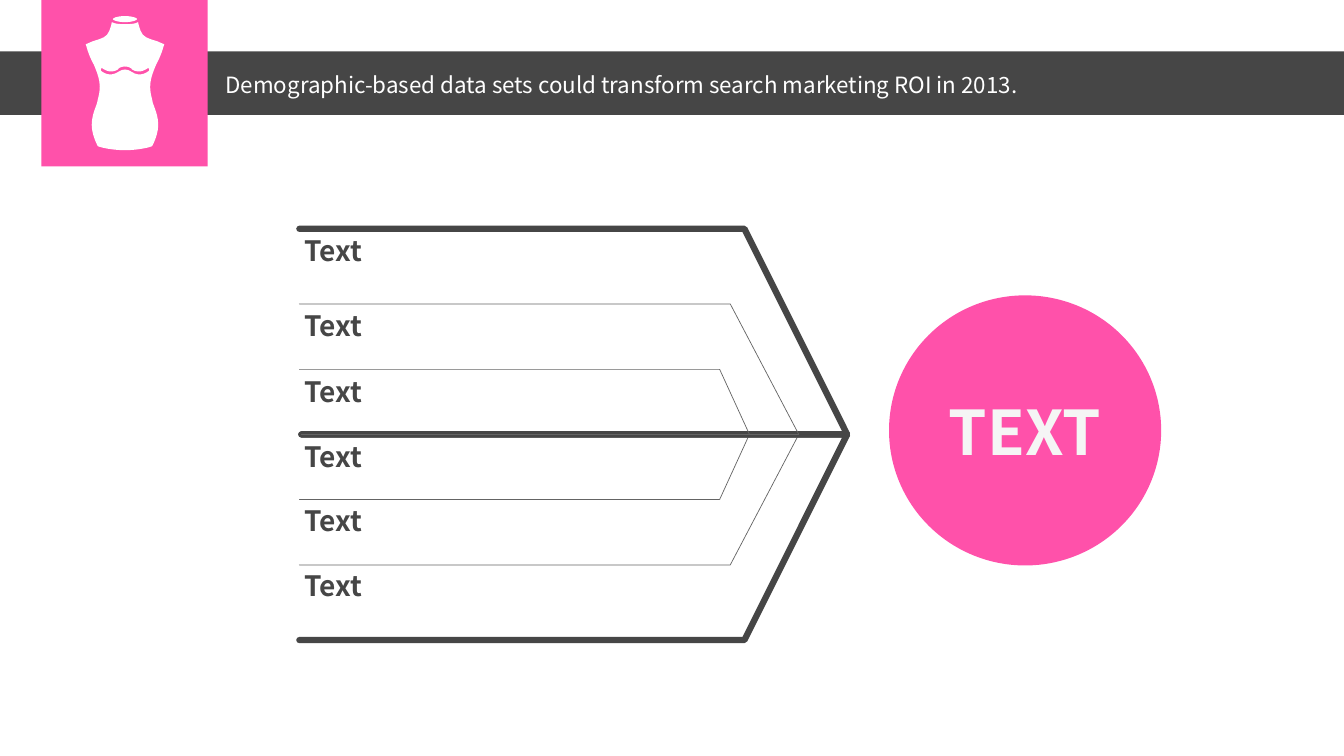
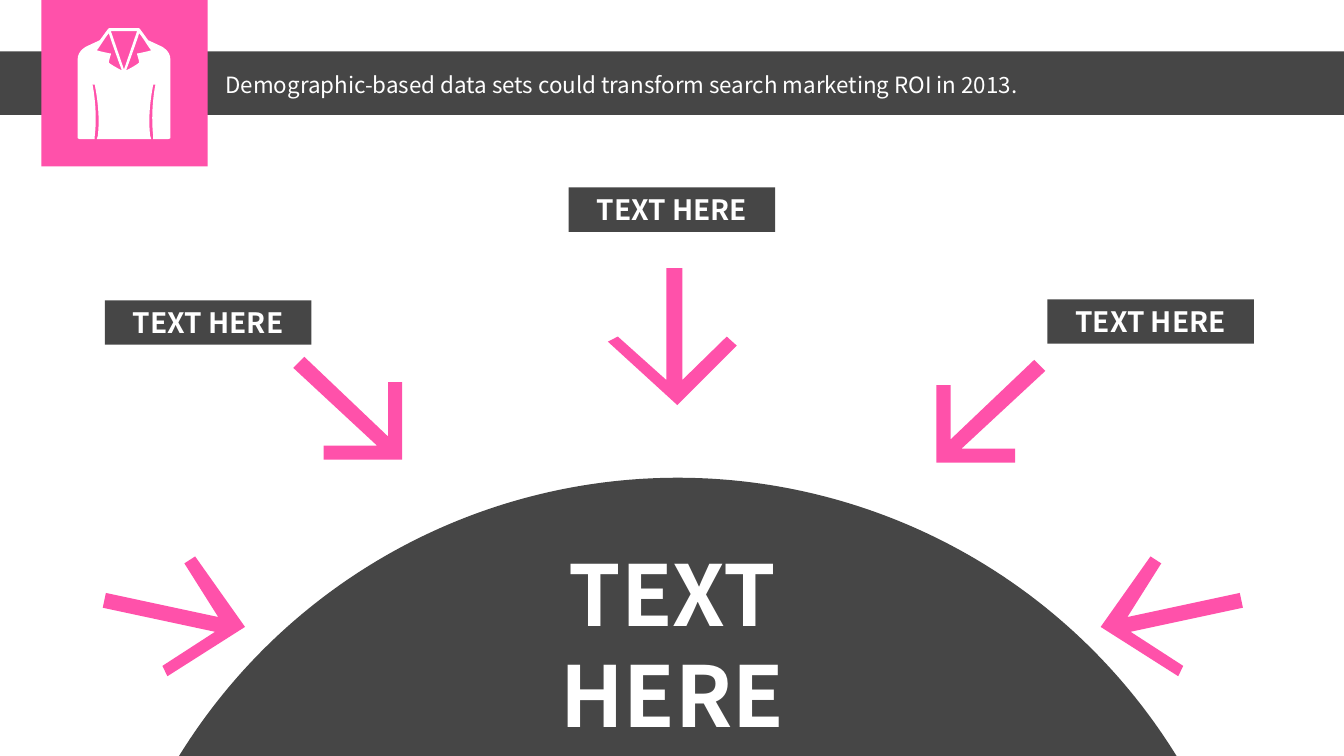
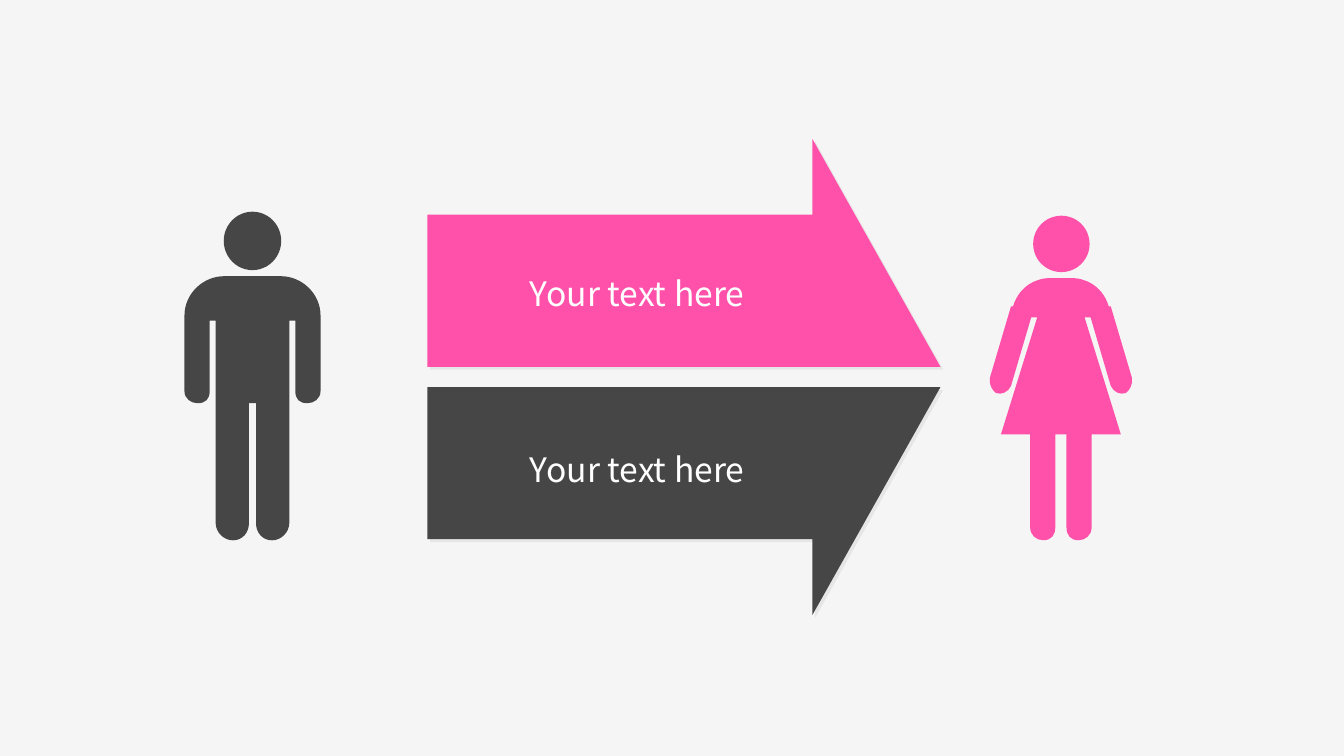
from dataclasses import dataclass

from lxml.etree import SubElement
from pptx import Presentation
from pptx.dml.color import RGBColor
from pptx.enum.shapes import MSO_SHAPE as Preset
from pptx.enum.text import MSO_ANCHOR as Anchor, MSO_AUTO_SIZE as AutoSize, PP_ALIGN as Align
from pptx.oxml.ns import qn
from pptx.util import Inches, Pt


@dataclass(frozen=True)
class Theme:
    font: str = "Noto Sans CJK SC"
    pink: str = "FF51AA"
    dark: str = "464646"
    thin: str = "646464"
    white: str = "FFFFFF"
    pale: str = "F5F5F5"
    shade: str = "E7E6E6"
    title: int = 16
    label: int = 20
    caption: int = 24
    badge: int = 44
    hero: int = 60


THEME = Theme()
COLUMNS, ROWS = 1333.33, 750
CELL = Inches(0.01)
TITLE = "Demographic-based data sets could transform search marketing ROI in 2013."


def cells(*counts):
    return [round(count * CELL) for count in counts]


def rgb(code):
    return RGBColor.from_string(code)


def flip(nodes, axis):
    return [tuple(value if index % 2 else 2 * axis - value
                  for index, value in enumerate(node)) for node in nodes]


def backwards(nodes):
    result = [nodes[-1][-2:]]
    for before, node in zip(nodes[-2::-1], nodes[:0:-1]):
        controls = node[2:4] + node[:2] if len(node) == 6 else ()
        result.append(controls + before[-2:])
    return result


def symmetric(nodes, axis):
    return nodes + backwards(flip(nodes, axis))[1:]


def move(points, left, top):
    return [(left + x, top + y) for x, y in points]


def write(box, text, size, color=THEME.white, bold=False, align=Align.LEFT,
          anchor=Anchor.TOP, inset=None, wrap=True, fit=AutoSize.NONE):
    frame = box.text_frame
    frame.word_wrap = wrap
    frame.auto_size = fit
    frame.vertical_anchor = anchor
    if inset is not None:
        frame.margin_left = frame.margin_right = CELL * inset
        frame.margin_top = frame.margin_bottom = CELL * inset
    para = frame.paragraphs[0]
    para.alignment = align
    span = para.add_run()
    span.text = text
    span.font.name = THEME.font
    span.font.size = Pt(size)
    span.font.bold = bold
    span.font.color.rgb = rgb(color)


def textbox(shapes, area, text, size, **style):
    write(shapes.add_textbox(*cells(*area)), text, size, **style)


def paint(shape, color):
    shape.shadow.inherit = False
    shape.fill.solid()
    shape.fill.fore_color.rgb = rgb(color)
    shape.line.fill.background()
    return shape


def solid(shapes, preset, area, color):
    return paint(shapes.add_shape(preset, *cells(*area)), color)


def bend(shape, segments):
    lines = list(shape._element.iter(qn("a:lnTo")))
    for line, (*controls, _, _) in zip(lines, segments):
        if controls:
            line.tag = qn("a:cubicBezTo")
            for x, y in (controls[:2], controls[2:]):
                SubElement(line, qn("a:pt"), x=str(x - shape.left), y=str(y - shape.top))
            line.append(line[0])


def freeform(shapes, contours, close=True):
    outlines = [[cells(*node) for node in contour] for contour in contours]
    builder = shapes.build_freeform(*outlines[0][0])
    for index, (start, *rest) in enumerate(outlines):
        if index:
            builder.move_to(*start)
        builder.add_line_segments([node[-2:] for node in rest], close=close)
    shape = builder.convert_to_shape()
    bend(shape, [node for outline in outlines for node in outline[1:]])
    return shape


def filled(shapes, color, *contours):
    return paint(freeform(shapes, contours), color)


def stroke(shapes, points, color, weight):
    shape = freeform(shapes, [points], close=False)
    shape.shadow.inherit = False
    shape.fill.background()
    shape.line.color.rgb = rgb(color)
    shape.line.width = Pt(weight)
    line = shape.line._get_or_add_ln()
    line.set("cap", "rnd")
    SubElement(line, qn("a:round"))


def drop_shadow(shape):
    effects = shape._element.spPr.find(qn("a:effectLst"))
    shadow = SubElement(effects, qn("a:outerShdw"), blurRad="0", dist=str(Pt(2.8)),
                        dir="2700000", algn="tl", rotWithShape="0")
    SubElement(shadow, qn("a:srgbClr"), val=THEME.shade)


def new_page(deck, color):
    page = deck.slides.add_slide(deck.slide_layouts[6])
    page.background.fill.solid()
    page.background.fill.fore_color.rgb = rgb(color)
    return page.shapes


def header(shapes):
    solid(shapes, Preset.RECTANGLE, (0, 51, COLUMNS, 63), THEME.dark)
    solid(shapes, Preset.RECTANGLE, (41, 0, 165, 165), THEME.pink)
    textbox(shapes, (214, 66, 964, 37), TITLE, THEME.title, fit=AutoSize.SHAPE_TO_FIT_TEXT)


def dress_form(shapes):
    axis = 124
    neck = [(124, 22), (116, 22, 112, 20, 112, 19), (112, 18, 116, 16, 124, 16)]
    torso = [
        (124, 24), (120, 24, 114, 24, 111, 22), (110, 27, 108, 35, 103, 37),
        (99, 39, 95, 40, 92, 41), (90, 42, 87, 43, 85, 44), (86, 46, 87, 53, 93, 64),
        (97, 73, 99, 80, 99, 86), (99, 91, 98, 95, 97, 99), (97, 101, 96, 103, 95, 106),
        (93, 111, 91, 117, 91, 124), (91, 130, 93, 137, 97, 145),
        (99, 146, 110, 149, 124, 149)]
    bust = [
        (124, 66), (120, 66, 117, 68, 117, 69), (109, 74, 102, 68, 102, 68),
        (102, 68, 101, 68, 100, 68), (100, 69, 100, 70, 100, 70),
        (100, 70, 108, 78, 118, 71), (119, 70, 122, 69, 124, 69)]
    shapes.add_group_shape([
        filled(shapes, THEME.white, symmetric(neck, axis)),
        filled(shapes, THEME.white, symmetric(torso, axis), symmetric(bust, axis))])


def jacket(shapes):
    axis = 123
    coat = [
        (123, 28), (108, 28), (107, 29), (99, 40), (86, 46), (86, 46, 77, 50, 77, 59),
        (77, 137), (77, 137, 78, 138, 79, 138), (94, 138), (94, 137, 94, 136, 94, 135),
        (97, 110, 92, 85, 92, 85), (91, 84, 92, 84, 92, 84), (94, 84),
        (94, 85, 100, 110, 97, 135), (97, 136, 96, 137, 96, 138), (123, 138)]
    lapel = [
        (108, 62), (108, 60, 110, 54, 110, 54), (110, 53), (109, 53),
        (109, 53, 99, 51, 96, 50), (98, 48, 105, 36, 108, 33),
        (109, 37, 119, 65, 121, 70), (117, 68, 108, 63, 108, 62)]
    collar = [(110, 31), (136, 31), (123, 69)]
    filled(shapes, THEME.white, symmetric(coat, axis), lapel, flip(lapel, axis), collar)


def fishbone(shapes):
    left, axis = 297, 431
    bones = ((738.5, 840.5, 204, THEME.dark, 4.5),
             (724.5, 792.5, 129.5, THEME.thin, 0.5),
             (714, 743.5, 64.5, THEME.thin, 0.5))
    for side in (1, -1):
        for elbow, tip, depth, color, weight in bones:
            end = axis + side * depth
            points = [(left, end), (elbow, end), (tip, axis), (left + 2, axis)]
            stroke(shapes, points, color, weight)
    top = 227
    for height in (74, 66, 64, 64, 64, 74):
        textbox(shapes, (left, top, 418, height), "Text",
                THEME.label, color=THEME.dark, bold=True, inset=5)
        top += height
    badge = solid(shapes, Preset.OVAL, (882, 293, 270, 268), THEME.pink)
    write(badge, "TEXT", THEME.badge, color=THEME.pale, bold=True, align=Align.CENTER,
          anchor=Anchor.MIDDLE, inset=5, wrap=False)


def converging_arrows(shapes):
    diagonal = [(0, 0), (0, -77), (14, -77), (14, -23), (97, -102), (108, -91),
                (25, -14), (78, -14), (78, 0)]
    level = [(-70, -7), (-70, 8), (44, 8), (0, 52), (7, 61), (72, -3), (9, -61),
             (0, -52), (44, -7)]
    down = [(677, 266), (661, 266), (661, 377), (613, 334), (603, 339), (672, 402),
            (731, 343), (721, 334), (677, 377)]
    filled(shapes, THEME.pink, move(diagonal, 929, 459))
    filled(shapes, THEME.pink, move(flip(diagonal, 0), 399, 456))
    filled(shapes, THEME.pink, down)
    filled(shapes, THEME.pink, move(level, 172, 610)).rotation = 12.1
    filled(shapes, THEME.pink, move(flip(level, 0), 1163, 610)).rotation = 347.9


def dome(shapes):
    chord = solid(shapes, Preset.CHORD, (91, 474, 1163, 1163), THEME.dark)
    for index, degrees in enumerate((211.54, 328.42)):
        chord.adjustments[index] = degrees * 0.6
    textbox(shapes, (495, 533, 344, 212), "TEXT HERE", THEME.hero, bold=True,
            align=Align.CENTER, fit=AutoSize.SHAPE_TO_FIT_TEXT)


def labels(shapes):
    for left, top in ((104, 298), (564, 186), (1039, 297)):
        plate = solid(shapes, Preset.RECTANGLE, (left, top, 205, 44), THEME.dark)
        write(plate, "TEXT HERE", THEME.label, bold=True, align=Align.CENTER,
              fit=AutoSize.SHAPE_TO_FIT_TEXT)


def split_arrow(shapes):
    middle = 374
    half = [(424, 213), (806, 213), (806, 138), (933, 364), (424, 364)]
    mirrored = [(x, 2 * middle - y) for x, y in half]
    for points, color, top in ((half, THEME.pink, 266), (mirrored, THEME.dark, 440)):
        drop_shadow(filled(shapes, color, points))
        textbox(shapes, (516, top, 326, 50), "Your text here", THEME.caption,
                fit=AutoSize.SHAPE_TO_FIT_TEXT)


def person(shapes, half, axis, head, color):
    shapes.add_group_shape([
        solid(shapes, Preset.OVAL, head, color),
        filled(shapes, color, symmetric(half, axis))])


def people(shapes):
    man = [
        (250.5, 274), (222, 274), (202, 274, 183, 291, 183, 313), (183, 388),
        (183, 396, 190, 400, 196, 400), (204, 400, 208, 396, 208, 388), (208, 318),
        (214, 318), (214, 519), (214, 528, 222, 536, 231, 536),
        (241, 536, 247, 528, 247, 519), (247, 400), (250.5, 400)]
    woman = [
        (1052.5, 276), (1040, 276), (1032, 276, 1012, 281, 1005, 304), (1003, 304),
        (982, 375), (981, 381, 984, 387, 988, 390), (994, 392, 1000, 389, 1003, 383),
        (1023, 315), (1029, 315), (993, 431), (1022, 431), (1022, 523),
        (1022, 531, 1028, 536, 1035, 536), (1043, 536, 1047, 531, 1047, 523),
        (1047, 431), (1052.5, 431)]
    person(shapes, man, 250.5, (222, 210, 57, 58), THEME.dark)
    person(shapes, woman, 1052.5, (1025, 214, 56, 56), THEME.pink)


def main():
    deck = Presentation()
    deck.slide_width, deck.slide_height = cells(COLUMNS, ROWS)

    causes = new_page(deck, THEME.white)
    header(causes)
    fishbone(causes.add_group_shape().shapes)
    dress_form(causes)

    focus = new_page(deck, THEME.white)
    header(focus)
    converging_arrows(focus)
    labels(focus)
    dome(focus)
    jacket(focus)

    comparison = new_page(deck, THEME.pale)
    split_arrow(comparison)
    people(comparison)

    deck.save("out.pptx")


if __name__ == "__main__":
    main()
